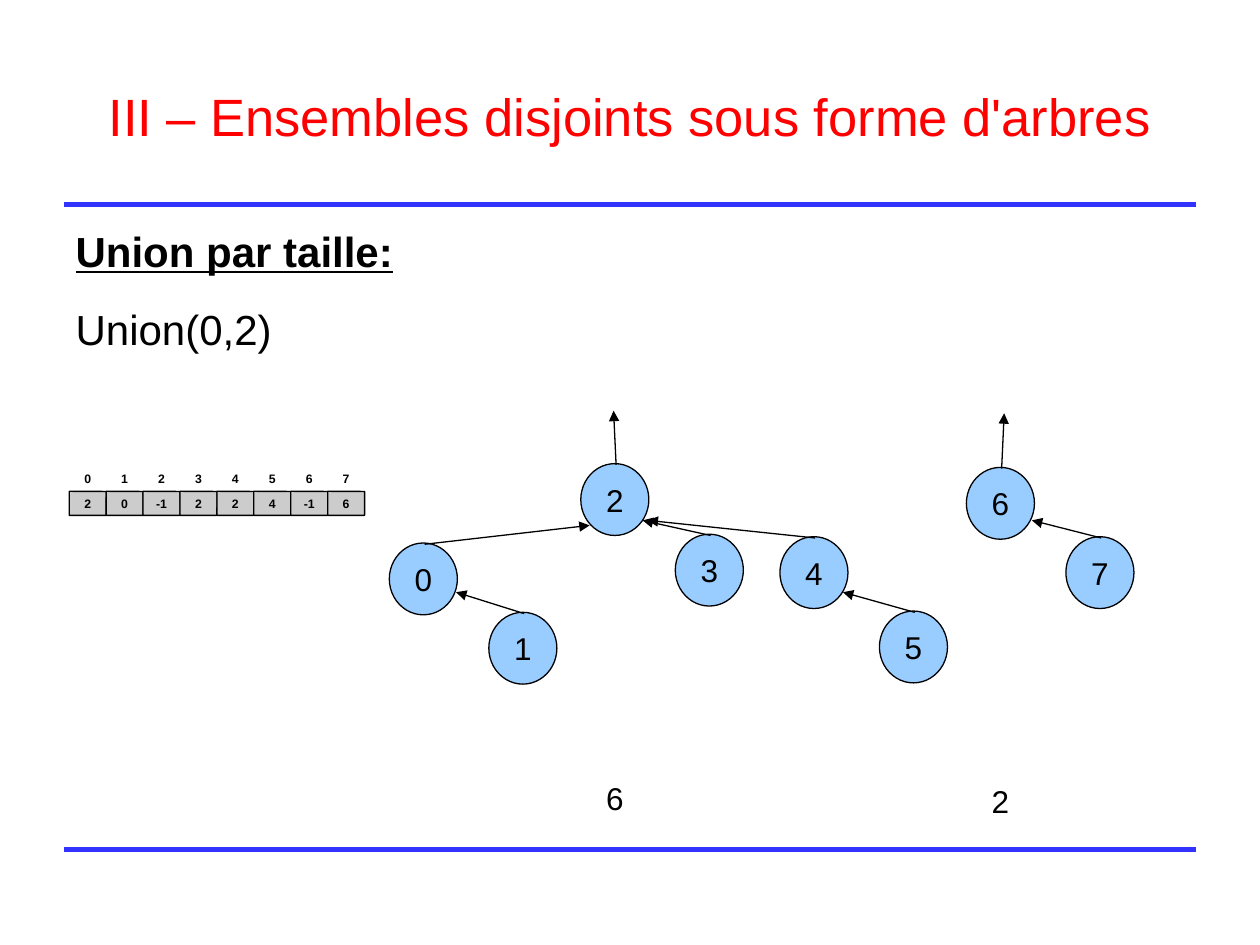
from lxml import etree
from pptx import Presentation
from pptx.dml.color import RGBColor
from pptx.enum.shapes import MSO_CONNECTOR, MSO_SHAPE
from pptx.enum.text import MSO_ANCHOR, MSO_AUTO_SIZE, PP_ALIGN
from pptx.oxml.ns import qn
from pptx.util import Inches, Pt

STRAIGHT = MSO_CONNECTOR.STRAIGHT
ELLIPSE, CELL = MSO_SHAPE.OVAL, MSO_SHAPE.ROUNDED_RECTANGLE
TOP, MIDDLE = MSO_ANCHOR.TOP, MSO_ANCHOR.MIDDLE
LEFT, CENTER = PP_ALIGN.LEFT, PP_ALIGN.CENTER
NO_AUTOFIT = MSO_AUTO_SIZE.NONE

BLACK = RGBColor(0x00, 0x00, 0x00)
WHITE = RGBColor(0xFF, 0xFF, 0xFF)
RED = RGBColor(0xFF, 0x00, 0x00)
RULE_BLUE = RGBColor(0x33, 0x33, 0xFF)
NODE_BLUE = RGBColor(0x99, 0xCC, 0xFF)
GREY = RGBColor(0xCC, 0xCC, 0xCC)

WIDTH, HEIGHT = 10, 7.5
NODE_WIDTH, NODE_HEIGHT = 0.54, 0.57
ARRAY_LEFT, ARRAY_TOP = 0.55, 3.7
COLUMN, INDEX_HEIGHT, VALUE_HEIGHT = 0.293, 0.2, 0.19

NODE_FONT = {"size": Pt(18)}
CELL_FONT = {"size": Pt(7), "bold": True}

# label, left, top, tip of the arrow that leaves the node
NODES = [
    ("0", 3.09, 4.31, (4.68, 4.17)),
    ("1", 3.88, 4.86, (3.62, 4.7)),
    ("2", 4.61, 3.68, (4.87, 3.26)),
    ("3", 5.36, 4.24, (5.1, 4.13)),
    ("4", 6.19, 4.26, (5.14, 4.13)),
    ("5", 6.98, 4.85, (6.69, 4.7)),
    ("6", 7.67, 3.71, (7.97, 3.28)),
    ("7", 8.46, 4.26, (8.19, 4.13)),
]
PARENTS = ["2", "0", "-1", "2", "2", "4", "-1", "6"]
SIZES = [("6", 4.61, 6.05), ("2", 7.67, 6.07)]


def set_all(target, values):
    for name, value in values.items():
        setattr(target, name, value)


def write(para, text, color=BLACK, **font):
    span = para.add_run()
    span.text = text
    set_all(span.font, {"name": "Arial", **font})
    span.font.color.rgb = color


def add_line(page, start, end, color, width, arrow=False):
    """Draw a line; an arrow points at its start."""
    line = page.shapes.add_connector(STRAIGHT, *map(Inches, (*start, *end)))
    line.line.color.rgb = color
    line.line.width = Pt(width)
    if arrow:
        etree.SubElement(line.line._get_or_add_ln(), qn("a:headEnd"), type="triangle")
    etree.SubElement(line._element.spPr, qn("a:effectLst"))


def add_label(page, kind, area, text, fill, font, outlined=True):
    box = page.shapes.add_shape(kind, *map(Inches, area))
    box.shadow.inherit = False
    box.fill.solid()
    box.fill.fore_color.rgb = fill
    if kind == CELL:
        box.adjustments[0] = 0.01
    if outlined:
        box.line.color.rgb = BLACK
        box.line.width = Pt(0.75)
    else:
        box.line.fill.background()
    set_all(box.text_frame, {"word_wrap": False, "vertical_anchor": MIDDLE})
    para = box.text_frame.paragraphs[0]
    para.alignment = CENTER
    write(para, text, **font)


def add_node(page, label, left, top, tip):
    add_label(page, ELLIPSE, (left, top, NODE_WIDTH, NODE_HEIGHT), label, NODE_BLUE, NODE_FONT)
    add_line(page, tip, (left + NODE_WIDTH / 2 + 0.01, top + 0.01), BLACK, 0.75, arrow=True)


def add_parent_array(page):
    rows = [
        (ARRAY_TOP, INDEX_HEIGHT, range(len(PARENTS)), WHITE, False),
        (ARRAY_TOP + INDEX_HEIGHT, VALUE_HEIGHT, PARENTS, GREY, True),
    ]
    for top, height, values, fill, outlined in rows:
        for column, value in enumerate(values):
            area = (ARRAY_LEFT + column * COLUMN, top, COLUMN, height)
            add_label(page, CELL, area, str(value), fill, CELL_FONT, outlined)


def place(holder, area, inset_top, anchor):
    set_all(holder, dict(zip(("left", "top", "width", "height"), map(Inches, area))))
    set_all(holder.text_frame, {
        "auto_size": NO_AUTOFIT, "word_wrap": True,
        "vertical_anchor": anchor, "margin_top": Inches(inset_top),
    })


def fill_title(title):
    place(title, (0.5, 0.3, 9, 1.25), 0.08, MIDDLE)
    para = title.text_frame.paragraphs[0]
    set_all(para, {"alignment": CENTER, "line_spacing": 0.93})
    write(para, "III – Ensembles disjoints sous forme d'arbres", RED, size=Pt(30))


def fill_body(body):
    place(body, (0.5, 1.75, 9.27, 2.19), 0.13, TOP)
    frame = body.text_frame
    heading, operation = frame.paragraphs[0], frame.add_paragraph()
    for para, gap in ((heading, 0), (operation, 23)):
        set_all(para, {"alignment": LEFT, "line_spacing": 0.75, "space_before": Pt(gap)})
        properties = para._p.get_or_add_pPr()
        properties.set("marL", "0")
        properties.set("indent", "0")
        etree.SubElement(properties, qn("a:buNone"))
    write(heading, "Union par taille:", size=Pt(24), bold=True, underline=True)
    write(operation, "Union(0,2)", size=Pt(24))


def main():
    deck = Presentation()
    set_all(deck, {"slide_width": Inches(WIDTH), "slide_height": Inches(HEIGHT)})
    page = deck.slides.add_slide(deck.slide_layouts[1])
    fill_title(page.shapes.title)
    fill_body(page.placeholders[1])
    for height in (6.74, 1.625):
        add_line(page, (0.51, height), (WIDTH - 0.51, height), RULE_BLUE, 3)
    for node in NODES:
        add_node(page, *node)
    add_parent_array(page)
    for size, left, top in SIZES:
        area = (left, top, NODE_WIDTH, NODE_HEIGHT)
        add_label(page, ELLIPSE, area, size, WHITE, NODE_FONT, outlined=False)
    deck.save("out.pptx")


if __name__ == "__main__":
    main()
